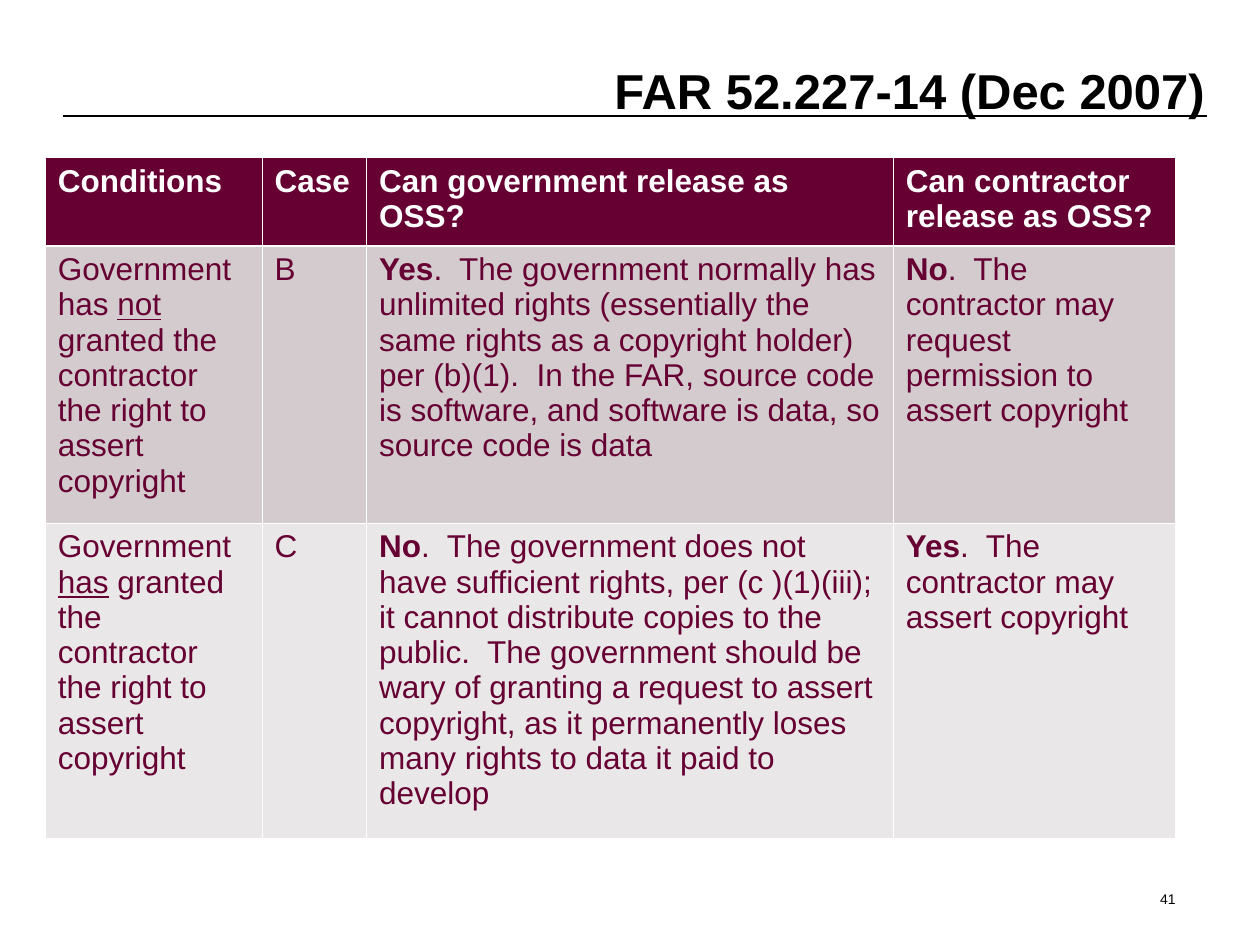
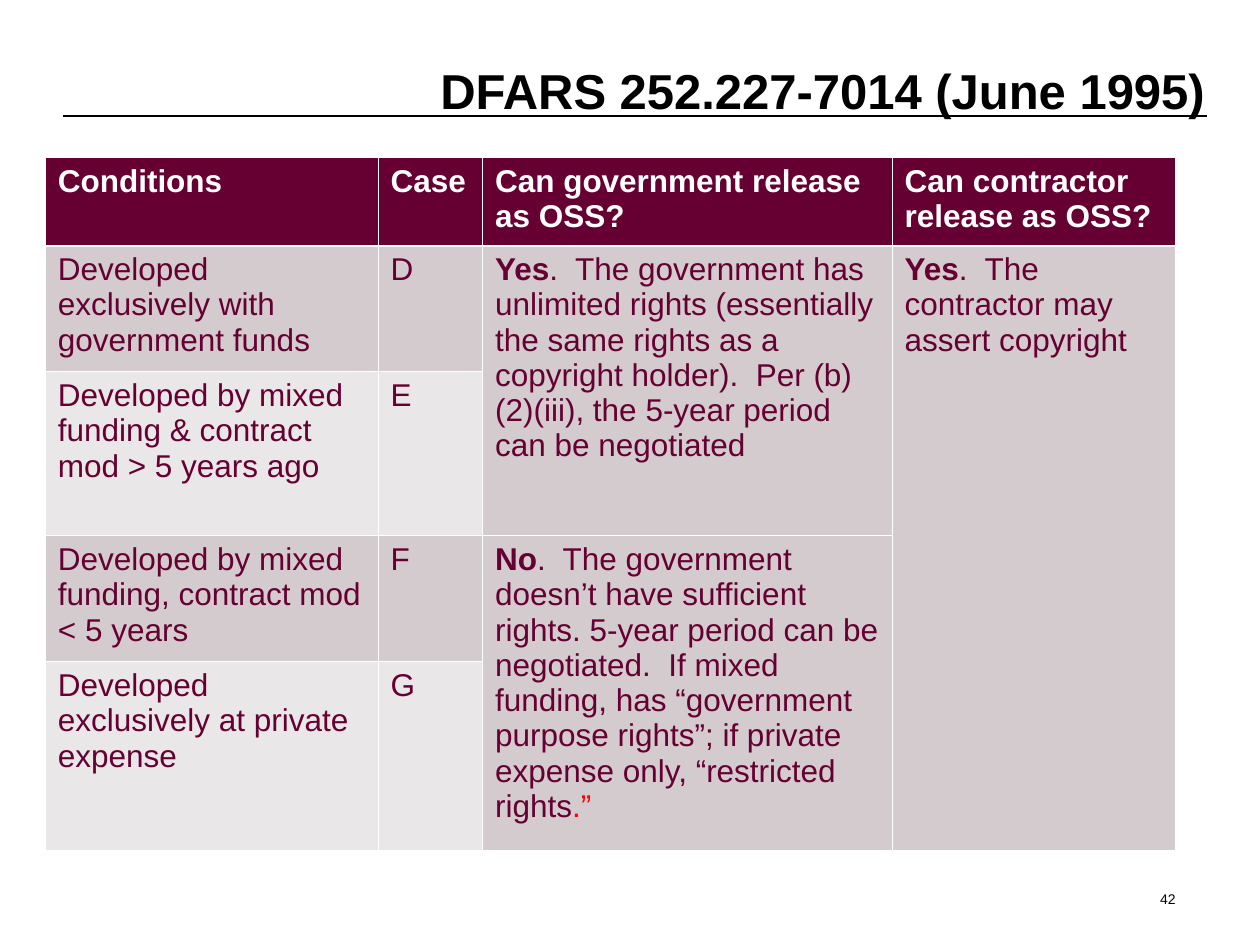
import pptx
import pptx.dml.color
import pptx.enum.shapes
import pptx.enum.text
import pptx.oxml
import pptx.oxml.ns
import pptx.util

COLORS = {
    "ink": "000000",
    "white": "FFFFFF",
    "wine": "660033",
    "band_dark": "D3CBCD",
    "band_light": "EAE7E8",
    "red": "FF0000",
}
FONT = "Arial"
PX = 9144
PAGE_SIZE = (1000, 750)
TITLE_BOX = (283, 43, 683, 57)
RULE = (50, 92, 958, 92)
TABLE_CORNER = (36, 125)
NUMBER_BOX = (735, 675, 208, 50)
THIN, THICK = 0.45, 1.47
BOLD = {"bold": True}
UNDERLINE = {"underline": True}

HEADINGS = [
    "Conditions",
    "Case",
    "Can government release as OSS?",
    "Can contractor release as OSS?",
]
YES, NO = ("Yes", BOLD), ("No", BOLD)
CONTRACTOR_MAY = [YES, ".  The contractor may assert copyright"]
GRANTED = " granted the contractor the right to assert copyright"

PAGES = [
    {
        "title": "FAR 52.227-14 (Dec 2007)",
        "number": 41,
        "columns": [172, 83, 418, 224],
        "heights": [70, 220, 250],
        "rows": [
            [
                ["Government has ", ("not", UNDERLINE), GRANTED],
                "B",
                [YES, ".  The government normally has unlimited rights "
                 "(essentially the same rights as a copyright holder) per "
                 "(b)(1).  In the FAR, source code is software, and software "
                 "is data, so source code is data"],
                [NO, ".  The contractor may request permission to assert "
                 "copyright"],
            ],
            [
                ["Government ", ("has", UNDERLINE), GRANTED],
                "C",
                [NO, ".  The government does not have sufficient rights, per "
                 "(c )(1)(iii); it cannot distribute copies to the public.  "
                 "The government should be wary of granting a request to "
                 "assert copyright, as it permanently loses many rights to "
                 "data it paid to develop"],
                CONTRACTOR_MAY,
            ],
        ],
    },
    {
        "title": "DFARS 252.227-7014 (June 1995)",
        "number": 42,
        "columns": [264, 83, 325, 225],
        "heights": [70, 100, 130, 100, 150],
        "rows": [
            [
                "Developed exclusively with government funds",
                "D",
                [YES, ".  The government has unlimited rights (essentially "
                 "the same rights as a copyright holder).  Per (b)(2)(iii), "
                 "the 5-year period can be negotiated"],
                CONTRACTOR_MAY,
            ],
            ["Developed by mixed funding & contract mod > 5 years ago",
             "E", None, None],
            [
                "Developed by mixed funding, contract mod < 5 years",
                "F",
                [NO, ".  The government doesn’t have sufficient rights. "
                 "5-year period can be negotiated.  If mixed funding, has "
                 "“government purpose rights”; if private expense only, "
                 "“restricted rights", (".”", {"color": "red"})],
                None,
            ],
            ["Developed exclusively at private expense", "G", None, None],
        ],
    },
]


def emu(*lengths):
    """Turn px lengths into EMU."""
    return [pptx.util.Emu(length * PX) for length in lengths]


def rgb(name):
    """Look up a named colour."""
    return pptx.dml.color.RGBColor.from_string(COLORS[name])


def set_font(para, size, color, bold=False):
    """Give a whole paragraph its font."""
    para.font.name = FONT
    para.font.size = pptx.util.Pt(size)
    para.font.bold = bold
    para.font.color.rgb = rgb(color)


def fill_paragraph(para, content):
    """Write a string, or a list of plain and styled pieces."""
    for piece in [content] if isinstance(content, str) else content:
        text, style = (piece, {}) if isinstance(piece, str) else piece
        span = para.add_run()
        span.text = text
        if "bold" in style:
            span.font.bold = True
        if "underline" in style:
            span.font.underline = True
        if "color" in style:
            span.font.color.rgb = rgb(style["color"])


def write_right(shape, text, size, bold=False):
    """Write one right-aligned line at the foot of a shape."""
    frame = shape.text_frame
    frame.word_wrap = True
    frame.vertical_anchor = pptx.enum.text.MSO_ANCHOR.BOTTOM
    para = frame.paragraphs[0]
    para.alignment = pptx.enum.text.PP_ALIGN.RIGHT
    fill_paragraph(para, text)
    set_font(para, size, "ink", bold)


def add_title(page, box, text):
    """Place the title in its placeholder."""
    title = page.shapes.title
    title.left, title.top, title.width, title.height = emu(*box)
    write_right(title, text, 28, bold=True)
    title.text_frame.auto_size = pptx.enum.text.MSO_AUTO_SIZE.SHAPE_TO_FIT_TEXT


def add_rule(page, ends):
    """Draw the thin line under the title."""
    rule = page.shapes.add_connector(
        pptx.enum.shapes.MSO_CONNECTOR.STRAIGHT, *emu(*ends))
    rule.line.color.rgb = rgb("ink")
    rule.line.width = pptx.util.Pt(0.75)
    properties = rule._element.spPr
    properties.append(pptx.oxml.parse_xml(
        f"<a:effectLst {pptx.oxml.ns.nsdecls('a')}/>"))


def set_borders(cell, row):
    """Edge a cell in white, with a thicker line below the headings."""
    widths = {
        "lnL": THIN,
        "lnR": THIN,
        "lnT": THICK if row == 1 else THIN,
        "lnB": THICK if row == 0 else THIN,
    }
    properties = cell._tc.get_or_add_tcPr()
    for tag, width in widths.items():
        properties.append(pptx.oxml.parse_xml(
            f"<a:{tag} {pptx.oxml.ns.nsdecls('a')} w='{pptx.util.Pt(width)}'>"
            f"<a:solidFill><a:srgbClr val='{COLORS['white']}'/></a:solidFill>"
            f"</a:{tag}>"))


def format_cell(cell, row):
    """Colour a cell by its row and set its margins and borders."""
    set_borders(cell, row)
    band = "wine" if row == 0 else "band_dark" if row % 2 else "band_light"
    cell.fill.solid()
    cell.fill.fore_color.rgb = rgb(band)
    cell.margin_left, cell.margin_right = emu(10, 10)
    cell.margin_top, cell.margin_bottom = emu(5, 5)


def add_rights_table(page, corner, columns, heights, rows):
    """Build the rights table, where None extends the cell above."""
    size = sum(columns), sum(heights)
    table = page.shapes.add_table(
        len(heights), len(columns), *emu(*corner, *size)).table
    table.horz_banding = False
    for column, width in zip(table.columns, emu(*columns)):
        column.width = width
    for line, height in zip(table.rows, emu(*heights)):
        line.height = height

    contents = [HEADINGS] + rows
    for row, line in enumerate(contents):
        for column, content in enumerate(line):
            cell = table.cell(row, column)
            format_cell(cell, row)
            if content is None:
                continue
            para = cell.text_frame.paragraphs[0]
            fill_paragraph(para, content)
            set_font(para, 18, "wine" if row else "white", bold=row == 0)
            last = row
            while last + 1 < len(contents) and contents[last + 1][column] is None:
                last += 1
            if last > row:
                cell.merge(table.cell(last, column))


def add_page_number(page, box, number):
    """Set the page number at the lower right."""
    label = page.shapes.add_textbox(*emu(*box))
    write_right(label, str(number), 8)


def add_rights_page(deck, content):
    """Add one page with title, rule, table and number."""
    page = deck.slides.add_slide(deck.slide_layouts[5])
    add_rule(page, RULE)
    add_title(page, TITLE_BOX, content["title"])
    add_rights_table(page, TABLE_CORNER, content["columns"],
                     content["heights"], content["rows"])
    add_page_number(page, NUMBER_BOX, content["number"])


def main():
    """Build and save the deck."""
    deck = pptx.Presentation()
    deck.slide_width, deck.slide_height = emu(*PAGE_SIZE)
    for content in PAGES:
        add_rights_page(deck, content)
    deck.save("out.pptx")


if __name__ == "__main__":
    main()
